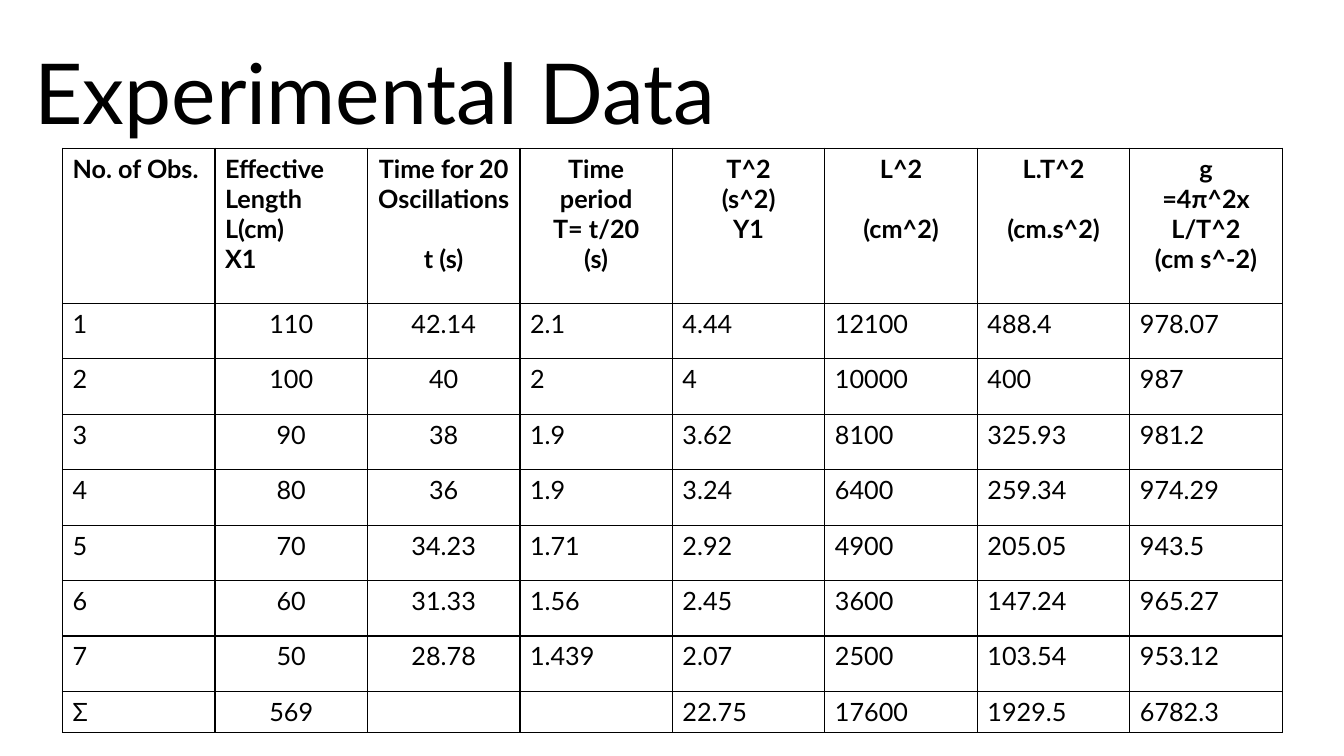
import lxml.etree
import pptx
import pptx.dml.color
import pptx.enum.text
import pptx.oxml.ns
import pptx.util

COLORS = {"ink": "000000"}
FONT = "Lato"
LEFT, TOP, WIDTH = 0.62, 1.47, 12.1
HEADER_H, ROW_H, SUM_H = 1.54, 0.55, 0.41
CENTER = pptx.enum.text.PP_ALIGN.CENTER
ALIGN_LEFT = pptx.enum.text.PP_ALIGN.LEFT
Inches = pptx.util.Inches

header = [
    "No. of Obs.",
    "Effective Length L(cm)\nX1",
    "Time for 20 Oscillations\n\nt (s)",
    "Time period\nT= t/20\n(s)",
    "T^2\n(s^2)\nY1",
    "L^2\n\n(cm^2)",
    "L.T^2\n\n(cm.s^2)",
    "g\n=4π^2x L/T^2\n(cm s^-2)",
]
observations = [
    ["1", "110", "42.14", "2.1", "4.44", "12100", "488.4", "978.07"],
    ["2", "100", "40", "2", "4", "10000", "400", "987"],
    ["3", "90", "38", "1.9", "3.62", "8100", "325.93", "981.2"],
    ["4", "80", "36", "1.9", "3.24", "6400", "259.34", "974.29"],
    ["5", "70", "34.23", "1.71", "2.92", "4900", "205.05", "943.5"],
    ["6", "60", "31.33", "1.56", "2.45", "3600", "147.24", "965.27"],
    ["7", "50", "28.78", "1.439", "2.07", "2500", "103.54", "953.12"],
]
sums = ["Σ", "569", "", "", "22.75", "17600", "1929.5", "6782.3"]


def add_run(p, text, size, bold=False):
    r = p.add_run()
    r.text = text
    r.font.name = FONT
    r.font.size = pptx.util.Pt(size)
    r.font.bold = bold
    r.font.color.rgb = pptx.dml.color.RGBColor.from_string(COLORS["ink"])


def set_borders(cell):
    tc_pr = cell._tc.get_or_add_tcPr()
    for i, side in enumerate(("lnL", "lnR", "lnT", "lnB")):
        ln = lxml.etree.Element(pptx.oxml.ns.qn("a:" + side), w="12700")
        fill = lxml.etree.SubElement(ln, pptx.oxml.ns.qn("a:solidFill"))
        lxml.etree.SubElement(fill, pptx.oxml.ns.qn("a:srgbClr"), val=COLORS["ink"])
        tc_pr.insert(i, ln)


prs = pptx.Presentation()
prs.slide_width = Inches(13.33)
prs.slide_height = Inches(7.5)
slide = prs.slides.add_slide(prs.slide_layouts[0])
subtitle = slide.placeholders[1].element
subtitle.getparent().remove(subtitle)

title = slide.shapes.title
title.left, title.top = Inches(0.2), Inches(0.18)
title.width, title.height = Inches(7.04), Inches(1.29)
tf = title.text_frame
tf.word_wrap = True
tf.auto_size = pptx.enum.text.MSO_AUTO_SIZE.NONE
tf.vertical_anchor = pptx.enum.text.MSO_ANCHOR.BOTTOM
p = tf.paragraphs[0]
p.alignment = CENTER
p.line_spacing = 0.9
add_run(p, "Experimental Data", 60)

data_heights = [HEADER_H] + [ROW_H] * len(observations)
tables = [
    (TOP, [header] + observations, data_heights),
    (TOP + sum(data_heights), [sums], [SUM_H]),
]
for top, rows, heights in tables:
    table = slide.shapes.add_table(
        len(rows), len(header), Inches(LEFT), Inches(top),
        Inches(WIDTH), Inches(sum(heights))).table
    table.first_row = False
    table.horz_banding = False
    for row, height in zip(table.rows, heights):
        row.height = Inches(height)
    for i, values in enumerate(rows):
        is_header = values is header
        for j, value in enumerate(values):
            cell = table.cell(i, j)
            cell.fill.background()
            set_borders(cell)
            centered = j >= 2 if is_header else j in (1, 2)
            tf = cell.text_frame
            for k, block in enumerate(value.split("\n\n") if value else []):
                p = tf.add_paragraph() if k else tf.paragraphs[0]
                p.alignment = CENTER if centered else ALIGN_LEFT
                if k:
                    p.space_before = pptx.util.Pt(21.6)
                for n, line in enumerate(block.split("\n")):
                    if n:
                        p.add_line_break()
                    add_run(p, line, 18, is_header)

prs.save("out.pptx")
